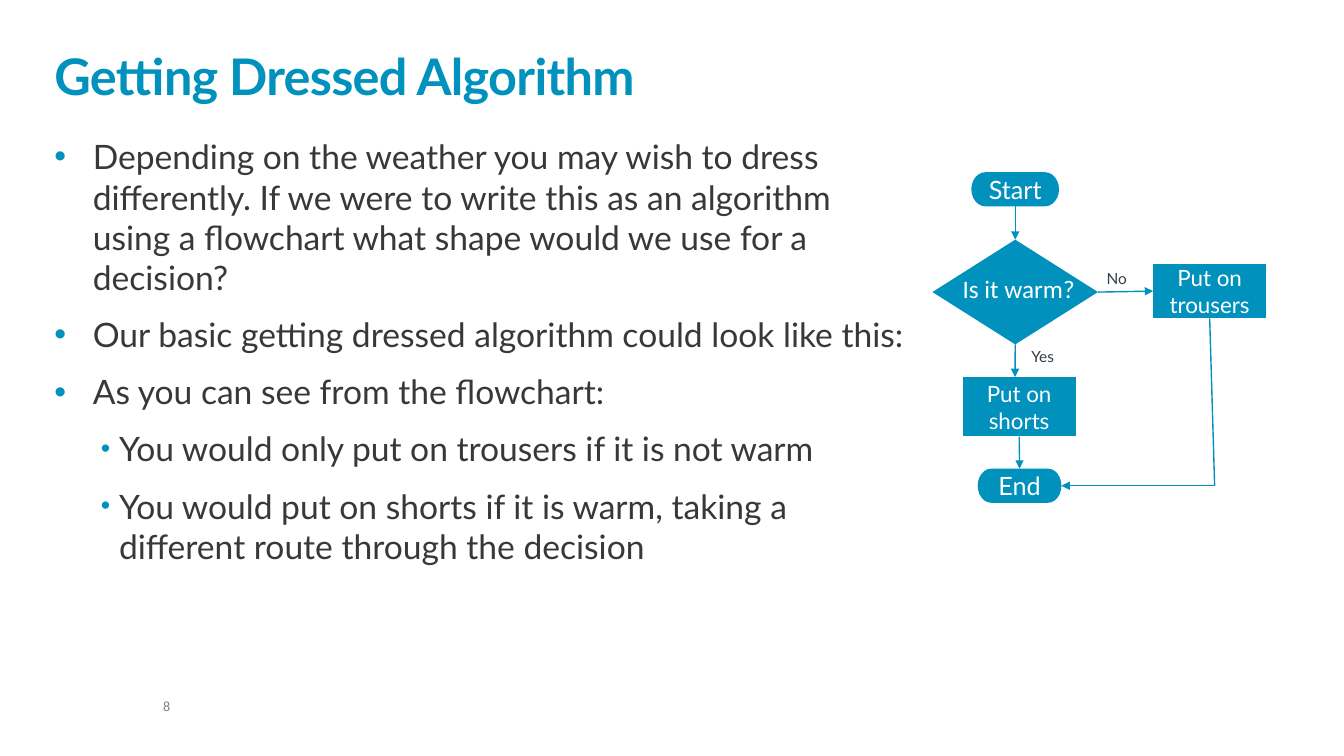
import lxml.etree
import pptx
import pptx.dml.color
import pptx.enum.shapes
import pptx.enum.text
import pptx.oxml.ns
import pptx.util

Cm = pptx.util.Cm
Pt = pptx.util.Pt
SHAPE = pptx.enum.shapes.MSO_SHAPE
ANCHOR = pptx.enum.text.MSO_ANCHOR
ALIGN = pptx.enum.text.PP_ALIGN
AUTO_SIZE = pptx.enum.text.MSO_AUTO_SIZE

BLUE = "0091BD"
WHITE = "FFFFFF"
BODY_POINTS = [
    (0, "Depending on the weather you may wish to dress differently. If we were to write this "
        "as an algorithm using a flowchart what shape would we use for a decision?"),
    (0, "Our basic getting dressed algorithm could look like this:"),
    (0, "As you can see from the flowchart:"),
    (1, "You would only put on trousers if it is not warm"),
    (1, "You would put on shorts if it is warm, taking a different route through the decision"),
]
BULLET_LEVELS = [(0.97, -0.97, 100), (1.63, -0.46, 80)]


def color(value):
    """Turn a hex string into a colour."""
    return pptx.dml.color.RGBColor.from_string(value)


def add_element(parent, tag, **attributes):
    """Append a drawing element to a parent element."""
    element = lxml.etree.SubElement(parent, pptx.oxml.ns.qn(tag))
    for name, value in attributes.items():
        element.set(name, str(value))
    return element


def format_font(paragraph, size, hex_color, name="Lato"):
    """Format every run of a paragraph."""
    for run in paragraph.runs:
        run.font.size = Pt(size)
        run.font.name = name
        run.font.color.rgb = color(hex_color)


def clear_margins(text_frame):
    """Remove the inner margins of a text frame."""
    text_frame.margin_left = text_frame.margin_right = 0
    text_frame.margin_top = text_frame.margin_bottom = 0


def add_label(slide, box, text, size, hex_color, font="Lato", wrap=False):
    """Add a short text box without margins."""
    shape = slide.shapes.add_textbox(*map(Cm, box))
    text_frame = shape.text_frame
    clear_margins(text_frame)
    text_frame.word_wrap = wrap
    text_frame.text = text
    paragraph = text_frame.paragraphs[0]
    paragraph.line_spacing = 0.9
    paragraph.space_after = Pt(6)
    format_font(paragraph, size, hex_color, font)


def add_title(slide, box, text):
    """Place and format the title placeholder."""
    title = slide.shapes.title
    title.left, title.top, title.width, title.height = map(Cm, box)
    text_frame = title.text_frame
    clear_margins(text_frame)
    text_frame.auto_size = AUTO_SIZE.NONE
    text_frame.vertical_anchor = ANCHOR.BOTTOM
    text_frame.text = text
    paragraph = text_frame.paragraphs[0]
    paragraph.alignment = ALIGN.LEFT
    paragraph.line_spacing = 0.85
    format_font(paragraph, 36, BLUE)
    run = paragraph.runs[0]
    run.font.bold = True
    run.font._element.set("spc", "-50")


def add_body(slide, box, points):
    """Add the bulleted text in its box."""
    text_frame = slide.shapes.add_textbox(*map(Cm, box)).text_frame
    clear_margins(text_frame)
    text_frame.word_wrap = True
    for index, (level, text) in enumerate(points):
        paragraph = text_frame.add_paragraph() if index else text_frame.paragraphs[0]
        paragraph.text = text
        paragraph.level = level
        paragraph.space_before = Pt(12)
        format_font(paragraph, 24, "383838")
        margin, indent, bullet_percent = BULLET_LEVELS[level]
        properties = paragraph._p.get_or_add_pPr()
        properties.set("marL", str(Cm(margin)))
        properties.set("indent", str(Cm(indent)))
        add_element(add_element(properties, "a:buClr"), "a:srgbClr", val=BLUE)
        add_element(properties, "a:buSzPct", val=bullet_percent * 1000)
        add_element(properties, "a:buFont", typeface="Arial")
        add_element(properties, "a:buChar", char="•")


def add_node(slide, kind, box, text="", size=16):
    """Add one flowchart symbol."""
    node = slide.shapes.add_shape(kind, *map(Cm, box))
    node.shadow.inherit = False
    node.fill.solid()
    node.fill.fore_color.rgb = color(BLUE)
    node.line.fill.background()
    if text:
        text_frame = node.text_frame
        text_frame.word_wrap = True
        text_frame.vertical_anchor = ANCHOR.MIDDLE
        text_frame.text = text
        text_frame.paragraphs[0].alignment = ALIGN.CENTER
        format_font(text_frame.paragraphs[0], size, WHITE)
    return node


def add_link(slide, start, end, arrow=True):
    """Draw a line between two ends, each a (node, side) pair or an (x, y) point."""
    straight = pptx.enum.shapes.MSO_CONNECTOR.STRAIGHT
    points = [(0, 0) if hasattr(first, "shape_id") else (Cm(first), Cm(second))
              for first, second in (start, end)]
    link = slide.shapes.add_connector(straight, *points[0], *points[1])
    for (first, side), connect in ((start, link.begin_connect), (end, link.end_connect)):
        if hasattr(first, "shape_id"):
            connect(first, side)
    link.line.color.rgb = color(BLUE)
    link.line.width = Pt(1)
    if arrow:
        add_element(link.line._get_or_add_ln(), "a:tailEnd", type="triangle")
    add_element(link._element.spPr, "a:effectLst")


def add_flowchart(slide, left, top):
    """Draw the getting dressed flowchart from its top left corner."""
    def place(x, y, *size):
        """Shift a position into the flowchart."""
        return (left + x, top + y, *size)

    start = add_node(slide, SHAPE.FLOWCHART_TERMINATOR, place(0.98, 0, 2.21, 0.86), "Start", 18)
    decision = add_node(slide, SHAPE.FLOWCHART_DECISION, place(0, 1.7, 4.17, 2.64))
    trousers = add_node(slide, SHAPE.FLOWCHART_PROCESS, place(5.56, 2.31, 2.85, 1.37),
                        "Put on trousers")
    shorts = add_node(slide, SHAPE.FLOWCHART_PROCESS, place(0.76, 5.16, 2.85, 1.5),
                      "Put on shorts")
    end = add_node(slide, SHAPE.FLOWCHART_TERMINATOR, place(1.14, 7.47, 2.11, 0.86), "End", 18)

    corner = place(7.11, 7.9)
    add_link(slide, (start, 2), (decision, 0))
    add_link(slide, (decision, 2), place(2.08, 5.16))
    add_link(slide, (shorts, 2), (end, 0))
    add_link(slide, (decision, 3), (trousers, 1))
    add_link(slide, (trousers, 2), corner, arrow=False)
    add_link(slide, corner, (end, 3))

    add_label(slide, place(2.49, 4.45, 0.61, 0.43), "Yes", 11, "333E48")
    add_label(slide, place(4.39, 2.49, 0.53, 0.43), "No", 11, "333E48")
    add_label(slide, place(0.76, 2.64, 3.1, 0.69), "Is it warm?", 18, WHITE, "Calibri", True)


def main():
    """Build and save the presentation."""
    presentation = pptx.Presentation()
    presentation.slide_width = Cm(33.87)
    presentation.slide_height = Cm(19.05)
    slide = presentation.slides.add_slide(presentation.slide_layouts[5])
    add_label(slide, (4.11, 17.63, 3.02, 0.38), "8", 10, "7F7F7F", "Calibri", True)
    add_title(slide, (1.37, 0.81, 31.06, 1.85), "Getting Dressed Algorithm")
    add_body(slide, (1.37, 3.43, 21.44, 12.78), BODY_POINTS)
    add_flowchart(slide, 23.5, 4.34)
    presentation.save("out.pptx")


if __name__ == "__main__":
    main()
